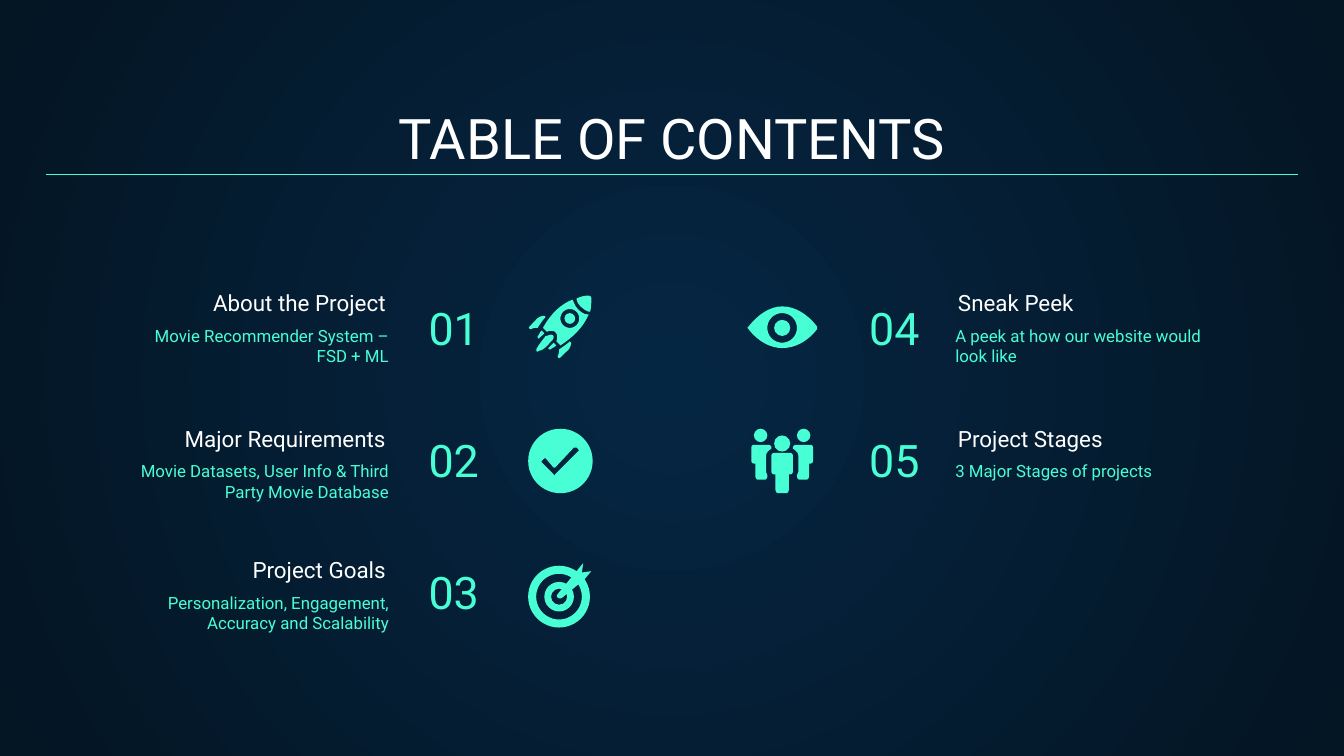
from math import cos, pi, sin

from pptx import Presentation
from pptx.dml.color import RGBColor
from pptx.enum.shapes import MSO_CONNECTOR, MSO_SHAPE
from pptx.enum.text import MSO_ANCHOR as Anchor, MSO_AUTO_SIZE, PP_ALIGN as Align
from pptx.oxml.ns import qn
from pptx.oxml.xmlchemy import OxmlElement
from pptx.util import Inches, Pt

WHITE = RGBColor(0xFF, 0xFF, 0xFF)
MINT = RGBColor(0x48, 0xFF, 0xD5)
NAVY = RGBColor(0x05, 0x26, 0x43)
NIGHT = RGBColor(0x04, 0x15, 0x23)
FONT = "Roboto"


def circle(cx, cy, r, steps=48):
    turns = [2 * pi * i / steps for i in range(steps)]
    return [(cx + r * cos(a), cy + r * sin(a)) for a in turns]


def outline(start, *pieces, steps=8):
    """Points of an outline: a piece of 2 numbers is a line, of 6 a Bezier curve."""
    points = [start]
    for piece in pieces:
        if len(piece) == 2:
            points.append(piece)
            continue
        x0, y0 = points[-1]
        x1, y1, x2, y2, x3, y3 = piece
        for t in (i / steps for i in range(1, steps + 1)):
            a, b, c, d = (1 - t) ** 3, 3 * t * (1 - t) ** 2, 3 * t * t * (1 - t), t ** 3
            points.append((a * x0 + b * x1 + c * x2 + d * x3,
                           a * y0 + b * y1 + c * y2 + d * y3))
    return points


def mirror_upright(points, axis_x):
    return [(2 * axis_x - x, y) for x, y in points]


def mirror_diagonal(points, total):
    """Reflect in the line x + y = total."""
    return [(total - y, total - x) for x, y in points]


def write(frame, text, size, color, align=Align.LEFT, anchor=Anchor.TOP):
    frame.word_wrap = True
    frame.auto_size = MSO_AUTO_SIZE.NONE
    frame.vertical_anchor = anchor
    frame.margin_left = frame.margin_right = Inches(0.1)
    frame.margin_top = frame.margin_bottom = Inches(0.1)
    frame.text = text
    for paragraph in frame.paragraphs:
        paragraph.alignment = align
        paragraph.font.name = FONT
        paragraph.font.size = Pt(size)
        paragraph.font.color.rgb = color


class Deck:
    def __init__(self, width, height):
        self.presentation = Presentation()
        self.presentation.slide_width = Inches(width)
        self.presentation.slide_height = Inches(height)
        self.slide = self.presentation.slides.add_slide(self.presentation.slide_layouts[5])
        self.shapes = self.slide.shapes

    def background(self, center, edge):
        fill = self.slide.background.fill
        fill.gradient()
        for stop, color in zip(fill.gradient_stops, (center, edge)):
            stop.color.rgb = color
        gradient = self.slide.element.find(".//" + qn("a:gradFill"))
        gradient.remove(gradient.find(qn("a:lin")))
        radial = OxmlElement("a:path")
        radial.set("path", "circle")
        focus = OxmlElement("a:fillToRect")
        for side in "ltrb":
            focus.set(side, "50000")
        radial.append(focus)
        gradient.find(qn("a:gsLst")).addnext(radial)

    def title(self, text, left, top, width, height):
        title = self.shapes.title
        title.left, title.top = Inches(left), Inches(top)
        title.width, title.height = Inches(width), Inches(height)
        write(title.text_frame, text, 30, WHITE, Align.CENTER, Anchor.BOTTOM)

    def text(self, text, left, top, width, height, **style):
        box = self.shapes.add_textbox(Inches(left), Inches(top), Inches(width), Inches(height))
        write(box.text_frame, text, **style)

    def rule(self, left, right, y):
        rule = self.shapes.add_connector(
            MSO_CONNECTOR.STRAIGHT, Inches(left), Inches(y), Inches(right), Inches(y))
        rule.line.color.rgb = MINT
        rule.line.width = Pt(0.75)
        rule._element.spPr.append(OxmlElement("a:effectLst"))

    def paint(self, shape):
        shape.shadow.inherit = False
        shape.fill.solid()
        shape.fill.fore_color.rgb = MINT
        shape.line.fill.background()

    def disc(self, cx, cy, r, hole=0):
        kind = MSO_SHAPE.DONUT if hole else MSO_SHAPE.OVAL
        disc = self.shapes.add_shape(
            kind, Inches(cx - r), Inches(cy - r), Inches(2 * r), Inches(2 * r))
        if hole:
            disc.adjustments[0] = (r - hole) / (2 * r)
        self.paint(disc)

    def figure(self, *outlines):
        """One filled shape; an outline inside another one is a hole."""
        emu = [[(Inches(x), Inches(y)) for x, y in points] for points in outlines]
        builder = self.shapes.build_freeform(*emu[0][0])
        builder.add_line_segments(emu[0][1:])
        for points in emu[1:]:
            builder.move_to(*points[0])
            builder.add_line_segments(points[1:])
        self.paint(builder.convert_to_shape())

    def rocket(self):
        fin = outline((4.05, 2.35), (4.03, 2.35, 4, 2.36, 3.98, 2.39), (3.94, 2.43),
                      (3.93, 2.44, 3.94, 2.45, 3.95, 2.45), (3.97, 2.44, 3.98, 2.44, 4, 2.44),
                      (4.02, 2.41, 4.04, 2.38, 4.06, 2.36))
        spark = outline((4.03, 2.46), (4.01, 2.48, 4.01, 2.5, 4, 2.5),
                        (4, 2.51, 4, 2.52, 4.01, 2.52), (4.02, 2.51, 4.03, 2.5, 4.05, 2.48))
        for part in (fin, spark):
            self.figure(part)
            self.figure(mirror_diagonal(part, 6.6))
        flame = outline((4.1, 2.49), (4.09, 2.49, 4.07, 2.5, 4.06, 2.5),
                        (4.02, 2.55, 4, 2.58, 3.99, 2.6), (3.99, 2.62, 4, 2.62, 4.01, 2.61),
                        (4.03, 2.61, 4.06, 2.59, 4.1, 2.54), (4.12, 2.53, 4.13, 2.49, 4.1, 2.49))
        nose = outline((4.37, 2.2), (4.34, 2.2, 4.32, 2.21, 4.29, 2.22),
                       (4.29, 2.24, 4.3, 2.26, 4.32, 2.28), (4.34, 2.3, 4.37, 2.32, 4.39, 2.32),
                       (4.4, 2.29, 4.4, 2.25, 4.4, 2.22), (4.4, 2.2, 4.38, 2.2, 4.37, 2.2))
        hull = outline((4.26, 2.23), (4.18, 2.26, 4.1, 2.33, 4.04, 2.44), (4.07, 2.47),
                       (4.08, 2.46, 4.12, 2.46, 4.13, 2.47), (4.15, 2.49, 4.15, 2.51, 4.14, 2.54),
                       (4.17, 2.57), (4.25, 2.52, 4.34, 2.44, 4.38, 2.34),
                       (4.35, 2.34, 4.33, 2.33, 4.3, 2.3), (4.28, 2.28, 4.27, 2.25, 4.26, 2.23))
        self.figure(flame)
        self.figure(nose)
        self.figure(hull, circle(4.24, 2.37, 0.07))
        self.disc(4.24, 2.37, 0.04)

    def check(self):
        tick = outline((4.28, 3.33), (4.29, 3.33), (4.3, 3.34), (4.31, 3.35, 4.31, 3.35, 4.3, 3.36),
                       (4.13, 3.53), (4.13, 3.54, 4.12, 3.54, 4.12, 3.53), (4.03, 3.44),
                       (4.03, 3.43), (4.05, 3.41), (4.06, 3.41), (4.12, 3.48), (4.13, 3.48),
                       (4.27, 3.33))
        self.figure(circle(4.17, 3.43, 0.24), tick)

    def target(self):
        for radius, hole in ((0.23, 0.17), (0.11, 0.06)):
            self.disc(4.16, 4.44, radius, hole)
        self.figure(outline((4.15, 4.42), (4.29, 4.25), (4.34, 4.19), (4.33, 4.26), (4.4, 4.25),
                            (4.35, 4.31), (4.18, 4.45), (4.16, 4.46, 4.13, 4.44, 4.15, 4.42)))

    def eye(self):
        lens = outline((5.82, 2.28), (5.73, 2.28, 5.64, 2.34, 5.57, 2.43),
                       (5.56, 2.43, 5.56, 2.44, 5.57, 2.45), (5.64, 2.54, 5.73, 2.59, 5.82, 2.59),
                       (5.92, 2.59, 6.01, 2.54, 6.08, 2.45), (6.08, 2.44, 6.08, 2.43, 6.08, 2.43),
                       (6.01, 2.34, 5.92, 2.28, 5.82, 2.28))
        self.figure(lens, circle(5.82, 2.44, 0.11))
        self.disc(5.82, 2.44, 0.06)

    def team(self):
        middle = 5.82
        for x, y, radius in ((5.66, 3.24, 0.05), (5.98, 3.24, 0.05), (middle, 3.3, 0.06)):
            self.disc(x, y, radius)
        side = outline((5.61, 3.31), (5.6, 3.31, 5.59, 3.32, 5.59, 3.33), (5.59, 3.43),
                       (5.59, 3.44, 5.6, 3.45, 5.61, 3.45), (5.62, 3.45), (5.62, 3.54),
                       (5.62, 3.56, 5.63, 3.57, 5.64, 3.57), (5.69, 3.57),
                       (5.7, 3.57, 5.71, 3.56, 5.71, 3.54), (5.71, 3.53, 5.7, 3.52, 5.7, 3.51),
                       (5.7, 3.39), (5.7, 3.37, 5.72, 3.35, 5.74, 3.34), (5.74, 3.33),
                       (5.74, 3.32, 5.73, 3.31, 5.71, 3.31))
        self.figure(side)
        self.figure(mirror_upright(side, middle))
        half = outline((middle, 3.37), (5.76, 3.37), (5.75, 3.37, 5.74, 3.38, 5.74, 3.39),
                       (5.74, 3.51), (5.74, 3.52, 5.75, 3.53, 5.76, 3.53), (5.77, 3.53),
                       (5.77, 3.64), (5.77, 3.66, 5.78, 3.67, 5.79, 3.67), (middle, 3.67))
        self.figure(half + mirror_upright(half, middle)[::-1])


# Left and right columns: lefts and widths of heading, note and number
COLUMNS = [
    dict(heading=(0.7, 2.27), note=(0.79, 2.2), number=3.09, align=Align.RIGHT, toward=Align.LEFT),
    dict(heading=(7.03, 2.27), note=(7.01, 2.07), number=5.65, align=Align.LEFT, toward=Align.RIGHT),
]
HEADING_TOPS = [2.24, 3.25, 4.23]
TOPICS = [
    ("About the Project", "Movie Recommender System –\nFSD + ML"),
    ("Major Requirements", "Movie Datasets, User Info & Third Party Movie Database"),
    ("Project Goals", "Personalization, Engagement, Accuracy and Scalability"),
    ("Sneak Peek", "A peek at how our website would look like"),
    ("Project Stages", "3 Major Stages of projects"),
]


def main():
    deck = Deck(10, 10 * 9 / 16)
    deck.background(NAVY, NIGHT)

    # Title and rule
    deck.title("TABLE OF CONTENTS", 0.34, 0.71, 9.32, 0.66)
    deck.rule(0.34, 9.66, 1.3)

    # Topics, three to a column
    for index, (heading, note) in enumerate(TOPICS):
        column, row = COLUMNS[index // 3], index % 3
        top = HEADING_TOPS[row]
        (left, width), (note_left, note_width) = column["heading"], column["note"]
        deck.text(note, note_left, top + 0.08, note_width, 0.55,
                  size=9, color=MINT, align=column["align"])
        deck.text(f"{index + 1:02}", column["number"], 2.08 + 0.98 * row, 1.29, 0.66,
                  size=24, color=MINT, align=column["toward"], anchor=Anchor.BOTTOM)
        deck.text(heading, left, top, width, 0.21,
                  size=12, color=WHITE, align=column["align"], anchor=Anchor.BOTTOM)

    # Icons
    for draw in (deck.rocket, deck.check, deck.target, deck.eye, deck.team):
        draw()

    deck.presentation.save("out.pptx")


if __name__ == "__main__":
    main()
